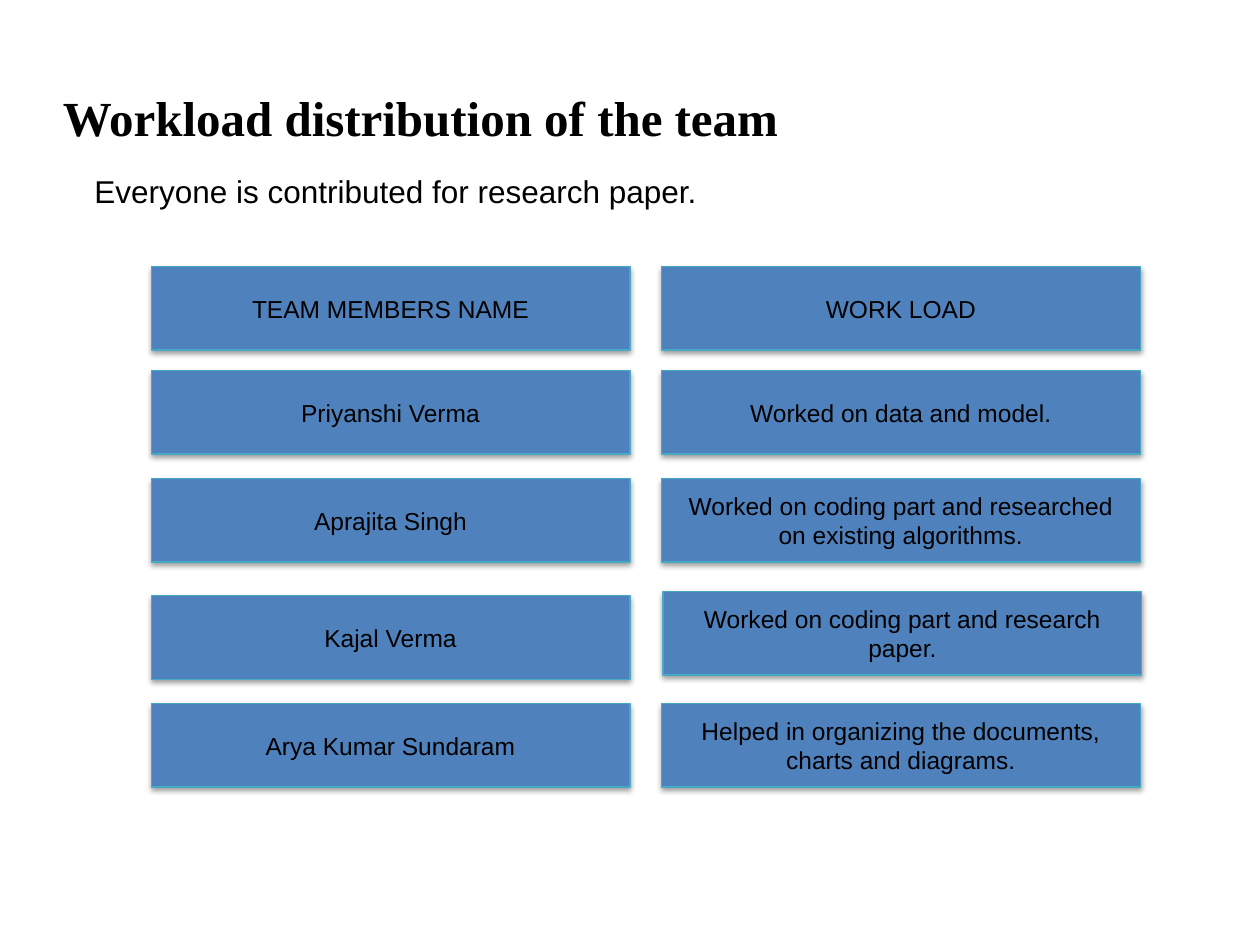
from lxml import etree
from pptx import Presentation
from pptx.dml.color import RGBColor
from pptx.enum.shapes import MSO_SHAPE
from pptx.enum.text import MSO_ANCHOR, PP_ALIGN
from pptx.oxml.ns import qn
from pptx.util import Pt

RECTANGLE = MSO_SHAPE.RECTANGLE
TOP, MIDDLE = MSO_ANCHOR.TOP, MSO_ANCHOR.MIDDLE
LEFT, CENTER = PP_ALIGN.LEFT, PP_ALIGN.CENTER

BLACK = RGBColor(0x00, 0x00, 0x00)
BLUE = RGBColor(0x4F, 0x81, 0xBD)
TEAL = RGBColor(0x46, 0xAA, 0xC5)

TITLE_FONT = {"name": "Times New Roman", "size": Pt(28), "bold": True}
BODY_FONT = {"name": "Arial", "size": Pt(18)}
CARD_FONT = {"name": "Arial", "size": Pt(14)}

NAME_LEFT, WORK_LEFT = 86.4, 378
CARD_WIDTH, CARD_HEIGHT = 273.6, 47.7
# Top of the name card, (left, top) shift of the work card, name, work
ROWS = [
    (152.3, (0, 0), "TEAM MEMBERS NAME", "WORK LOAD"),
    (211.7, (0, 0), "Priyanshi Verma", "Worked on data and model."),
    (273.5, (0, 0), "Aprajita Singh",
     "Worked on coding part and researched on existing algorithms."),
    (340.4, (0.9, -2.3), "Kajal Verma",
     "Worked on coding part and research paper."),
    (402, (0, 0), "Arya Kumar Sundaram",
     "Helped in organizing the documents, charts and diagrams."),
]


def write_text(frame, text, font, anchor, align):
    frame.word_wrap = True
    frame.vertical_anchor = anchor
    para = frame.paragraphs[0]
    para.alignment = align
    span = para.add_run()
    span.text = text
    for name, value in font.items():
        setattr(span.font, name, value)
    span.font.color.rgb = BLACK
    return para


def add_text(page, text, left, top, width, height, font, anchor, inset_top=0):
    box = page.shapes.add_textbox(Pt(left), Pt(top), Pt(width), Pt(height))
    frame = box.text_frame
    frame.margin_left = frame.margin_right = frame.margin_bottom = 0
    frame.margin_top = Pt(inset_top)
    return write_text(frame, text, font, anchor, LEFT)


def set_hanging_indent(para, left, hanging):
    properties = para._p.get_or_add_pPr()
    properties.set("marL", str(Pt(left)))
    properties.set("indent", str(-Pt(hanging)))


def add_soft_shadow(shape):
    """Cast a blurred shadow straight down."""
    shape.shadow.inherit = False
    effects = shape._element.spPr.find(qn("a:effectLst"))
    shadow = etree.SubElement(
        effects, qn("a:outerShdw"), blurRad=str(Pt(3.1)), dist=str(Pt(1.6)),
        dir="5400000", rotWithShape="0")
    color = etree.SubElement(shadow, qn("a:srgbClr"), val=str(BLACK))
    etree.SubElement(color, qn("a:alpha"), val="38000")


def add_card(page, text, left, top):
    card = page.shapes.add_shape(
        RECTANGLE, Pt(left), Pt(top), Pt(CARD_WIDTH), Pt(CARD_HEIGHT))
    card.fill.solid()
    card.fill.fore_color.rgb = BLUE
    card.line.color.rgb = TEAL
    card.line.width = Pt(0.75)
    add_soft_shadow(card)
    write_text(card.text_frame, text, CARD_FONT, MIDDLE, CENTER)


def main():
    deck = Presentation()
    deck.slide_width, deck.slide_height = Pt(720), Pt(540)
    page = deck.slides.add_slide(deck.slide_layouts[6])

    add_text(page, "Workload distribution of the team",
             36, 21.6, 648, 90, TITLE_FONT, MIDDLE)
    intro = add_text(page, "Everyone is contributed for research paper.",
                     36, 96.5, 648, 352.8, BODY_FONT, TOP, inset_top=2)
    set_hanging_indent(intro, 36, 18)

    for top, (shift_left, shift_top), name, work in ROWS:
        add_card(page, name, NAME_LEFT, top)
        add_card(page, work, WORK_LEFT + shift_left, top + shift_top)

    deck.save("out.pptx")


if __name__ == "__main__":
    main()
